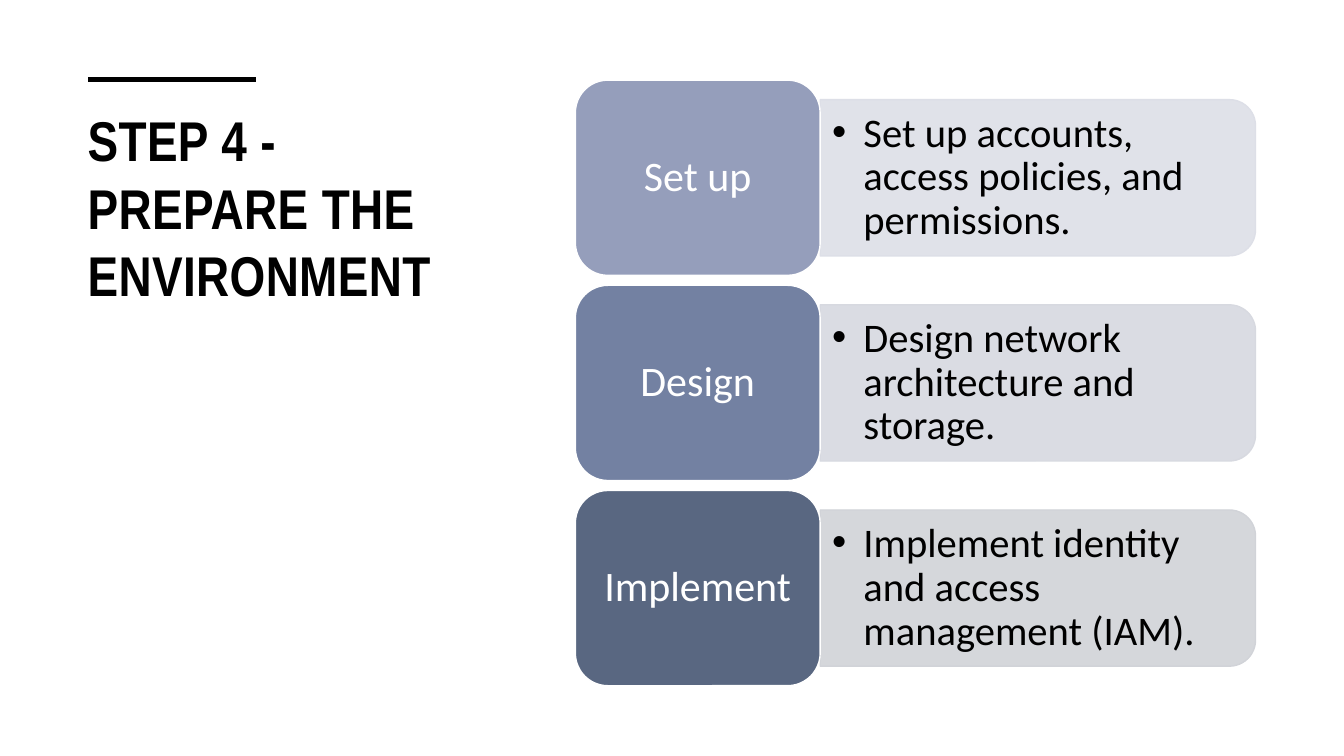
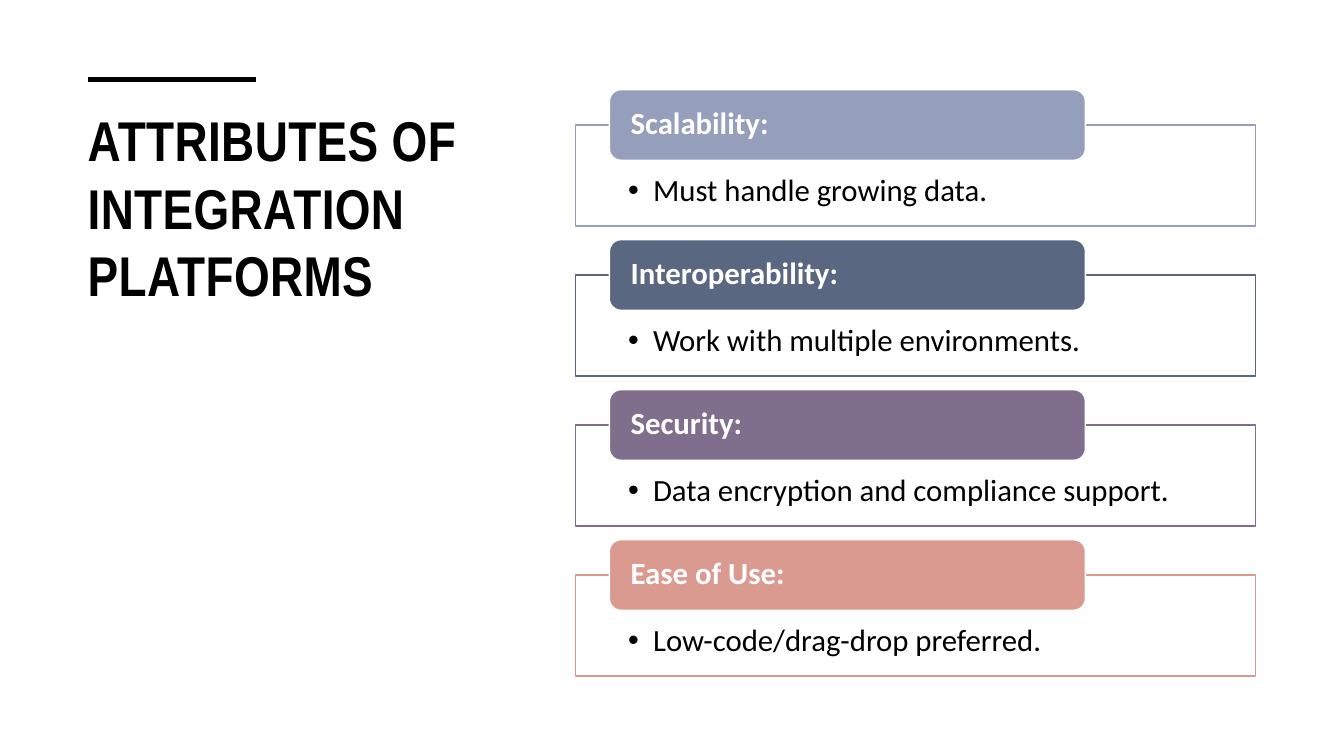
from lxml import etree
from pptx import Presentation
from pptx.dml.color import RGBColor
from pptx.enum.shapes import MSO_CONNECTOR, MSO_SHAPE
from pptx.enum.text import MSO_ANCHOR, PP_ALIGN
from pptx.oxml.ns import qn
from pptx.util import Cm, Pt

STRAIGHT = MSO_CONNECTOR.STRAIGHT
RECTANGLE = MSO_SHAPE.RECTANGLE
ROUNDED = MSO_SHAPE.ROUNDED_RECTANGLE
ROUND_TOP = MSO_SHAPE.ROUND_2_SAME_RECTANGLE
TOP, MIDDLE = MSO_ANCHOR.TOP, MSO_ANCHOR.MIDDLE
LEFT, CENTER = PP_ALIGN.LEFT, PP_ALIGN.CENTER

COLORS = {
    "black": "000000", "white": "FFFFFF",
    "lavender": "959EBB", "blue": "7381A2", "slate": "596781",
    "plum": "7F6E8C", "coral": "DB9A8F",
    "pale lavender": "DDDFE7", "pale blue": "D7D9E0", "pale slate": "D1D3D8",
}
TITLE_FONT, BODY_FONT = "Arial Narrow", "Calibri"
CONTENT_BOX = (14.5, 2.02, 17.14)

STEPS = [
    ("Set up", "Set up accounts, access policies, and permissions.", "lavender"),
    ("Design", "Design network architecture and storage.", "blue"),
    ("Implement", "Implement identity and access management (IAM).", "slate"),
]
ATTRIBUTES = [
    ("Scalability:", "Must handle growing data.", "lavender"),
    ("Interoperability:", "Work with multiple environments.", "slate"),
    ("Security:", "Data encryption and compliance support.", "plum"),
    ("Ease of Use:", "Low-code/drag-drop preferred.", "coral"),
]


def rgb(name):
    """Return the named colour."""
    return RGBColor.from_string(COLORS[name])


def add_box(slide, kind, box, fill, line, opacity=100):
    """Add a filled, outlined shape; box is left, top, width, height in cm."""
    shape = slide.shapes.add_shape(kind, *map(Cm, box))
    shape.shadow.inherit = False
    shape.fill.solid()
    shape.fill.fore_color.rgb = rgb(fill)
    if opacity < 100:
        color = shape._element.spPr.find(qn("a:solidFill"))[0]
        etree.SubElement(color, qn("a:alpha")).set("val", str(opacity * 1000))
    shape.line.color.rgb = rgb(line)
    shape.line.width = Pt(1)
    return shape


def write(shape, text, size, color, insets, anchor=MIDDLE, align=LEFT,
          font=BODY_FONT, bold=False, spacing=0.9, bullet_indent=0, tracking=0):
    """Write one styled paragraph; insets are left, top, right, bottom in cm."""
    frame = shape.text_frame
    frame.word_wrap = True
    frame.vertical_anchor = anchor
    (frame.margin_left, frame.margin_top,
     frame.margin_right, frame.margin_bottom) = map(Cm, insets)
    paragraph = frame.paragraphs[0]
    paragraph.text = text
    paragraph.alignment = align
    paragraph.line_spacing = spacing
    properties = paragraph._p.get_or_add_pPr()
    if bullet_indent:
        properties.set("marL", str(Cm(bullet_indent)))
        properties.set("indent", str(-Cm(bullet_indent)))
        etree.SubElement(properties, qn("a:buFont")).set("typeface", "Arial")
        etree.SubElement(properties, qn("a:buChar")).set("char", "•")
    paragraph.font.name = font
    paragraph.font.size = Pt(size)
    paragraph.font.bold = bold
    paragraph.font.color.rgb = rgb(color)
    if tracking:
        properties.find(qn("a:defRPr")).set("spc", str(round(tracking * 100)))


def add_title_slide(presentation, title):
    """Add a slide with the short rule and the title beneath it."""
    slide = presentation.slides.add_slide(presentation.slide_layouts[6])
    rule = slide.shapes.add_connector(STRAIGHT, Cm(2.23), Cm(2), Cm(6.45), Cm(2))
    rule.line.color.rgb = rgb("black")
    rule.line.width = Pt(3.5)
    etree.SubElement(rule._element.spPr, qn("a:effectLst"))
    heading = slide.shapes.add_textbox(Cm(1.96), Cm(2.54), Cm(10.87), Cm(11.05))
    write(heading, title, 40, "black", (0.25, 0.13, 0.25, 0.13), TOP,
          font=TITLE_FONT, bold=True, spacing=1, tracking=0.3)
    return slide


def add_step_rows(slide, left, top, width, steps):
    """Stack label blocks, each with a bulleted panel to its right."""
    row_height, gap = 4.92, 0.25
    label_width = width * 0.36
    panel_width, panel_height = width - label_width, row_height * 0.8
    panel_left = left + label_width
    for index, (label, detail, color) in enumerate(steps):
        row_top = top + index * (row_height + gap)
        panel_top = row_top + (row_height - panel_height) / 2
        shift = (panel_width - panel_height) / 2
        pale = f"pale {color}"
        panel = add_box(slide, ROUND_TOP,
                        (panel_left + shift, panel_top - shift, panel_height, panel_width),
                        pale, pale, 90)
        panel.rotation = 90
        text = slide.shapes.add_textbox(Cm(panel_left), Cm(panel_top),
                                        Cm(panel_width - 0.19), Cm(panel_height))
        write(text, detail, 29, "black", (0.3, 0.15, 0.3, 0.15), bullet_indent=0.79)
        block = add_box(slide, ROUNDED, (left, row_top, label_width, row_height),
                        color, "white")
        write(block, label, 30, "white", (0.1, 0.1, 0.1, 0.1), align=CENTER)


def add_attribute_rows(slide, left, top, width, attributes):
    """Stack outlined boxes, each with a heading tab across its top edge."""
    pitch, box_height, tab_height = 3.78, 2.55, 1.78
    for index, (heading, detail, color) in enumerate(attributes):
        tab_top = top + index * pitch
        box = add_box(slide, RECTANGLE,
                      (left, tab_top + tab_height / 2, width, box_height),
                      "white", color, 90)
        write(box, detail, 22, "black", (1.33, 1.27, 1.33, 0.43), TOP,
              bullet_indent=0.63)
        tab = add_box(slide, ROUNDED,
                      (left + width * 0.05, tab_top, width * 0.7, tab_height),
                      color, "white")
        write(tab, heading, 22, "white", (0.45, 0, 0.45, 0), bold=True)


def main():
    """Build and save the presentation."""
    presentation = Presentation()
    presentation.slide_width, presentation.slide_height = Cm(33.87), Cm(19.05)
    left, top, width = CONTENT_BOX
    slide = add_title_slide(presentation, "STEP 4 - PREPARE THE ENVIRONMENT")
    add_step_rows(slide, left, top, width, STEPS)
    slide = add_title_slide(presentation, "ATTRIBUTES OF INTEGRATION PLATFORMS")
    add_attribute_rows(slide, left, top + 0.24, width, ATTRIBUTES)
    presentation.save("out.pptx")


if __name__ == "__main__":
    main()
